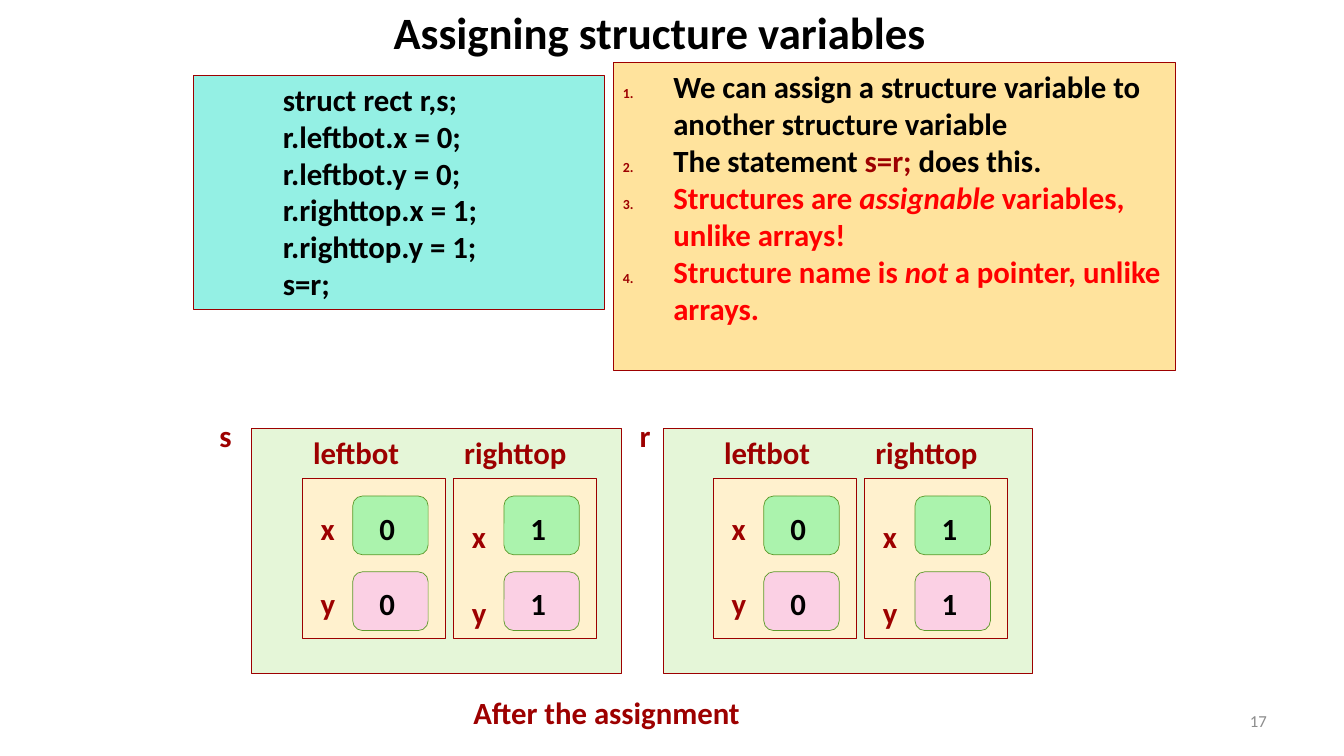
from lxml.etree import SubElement
from pptx import Presentation
from pptx.dml.color import RGBColor
from pptx.enum.shapes import MSO_SHAPE as Preset
from pptx.enum.text import MSO_ANCHOR as Anchor, PP_ALIGN as Align
from pptx.oxml.ns import qn
from pptx.util import Cm, Pt

BLACK = RGBColor(0x00, 0x00, 0x00)
MAROON = RGBColor(0x9D, 0x00, 0x00)
RED = RGBColor(0xFF, 0x00, 0x00)
GREY = RGBColor(0x8C, 0x8C, 0x8C)
TURQUOISE = RGBColor(0x94, 0xF0, 0xE4)
AMBER = RGBColor(0xFF, 0xE3, 0x9D)
CREAM = RGBColor(0xFF, 0xF1, 0xCE)
PALE_GREEN = RGBColor(0xE5, 0xF6, 0xD8)
GREEN = RGBColor(0xAB, 0xF3, 0xAD)
PINK = RGBColor(0xFB, 0xD0, 0xE4)
OLIVE = RGBColor(0x5D, 0x9A, 0x2B)

# Content
TITLE = "Assigning structure variables"
CODE = ["struct rect r,s;", "r.leftbot.x = 0;", "r.leftbot.y = 0;",
        "r.righttop.x = 1;", "r.righttop.y = 1;", "s=r;"]
# Each note is a list of runs: text, colour, italic
NOTES = [
    [("We can assign a structure variable to another structure variable", BLACK, False)],
    [("The statement ", BLACK, False), ("s=r;", MAROON, False), (" does this.", BLACK, False)],
    [("Structures are ", RED, False), ("assignable", RED, True),
     (" variables, unlike arrays!", RED, False)],
    [("Structure name is ", RED, False), ("not", RED, True),
     (" a pointer, unlike arrays.", RED, False)],
]
# Variable name, left edge of its record, distance from the name to the record
RECORDS = [("s", 6.35, 1.07), ("r", 16.71, 0.84)]
# Member name, name width, drop of the field names, field values
MEMBERS = [("leftbot", 2.72, 0.64, {"x": "0", "y": "0"}),
           ("righttop", 3.12, 0.85, {"x": "1", "y": "1"})]
FIELD_FILLS = {"x": GREEN, "y": PINK}
CAPTION = "After the assignment"
PAGE = "17"

# Layout, in centimetres
RECORD_TOP, RECORD_SIZE = 10.8, (9.32, 6.17)
MEMBER_INSET, MEMBER_PITCH, MEMBER_SIZE = 1.27, 3.81, (3.6, 4.02)
CELL_OFFSET, CELL_PITCH, CELL_SIZE = (1.27, 0.43), 1.91, (1.9, 1.48)
LABEL_HEIGHT = 1.19

deck = Presentation()
deck.slide_width, deck.slide_height = Cm(33.87), Cm(19.05)
slide = deck.slides.add_slide(deck.slide_layouts[6])


def style(run, color=BLACK, size=22, bold=True, italic=False):
    font = run.font
    font.name, font.size, font.bold, font.italic = "Calibri", Pt(size), bold, italic
    font.color.rgb = color


def add_box(left, top, size, fill, line=MAROON, weight=0.75, preset=Preset.RECTANGLE):
    box = slide.shapes.add_shape(preset, Cm(left), Cm(top), Cm(size[0]), Cm(size[1]))
    box.shadow.inherit = False
    box.fill.solid()
    box.fill.fore_color.rgb = fill
    box.line.color.rgb = line
    box.line.width = Pt(weight)
    box.text_frame.vertical_anchor = Anchor.TOP
    return box


def add_label(text, left, top, width, color=MAROON, height=LABEL_HEIGHT,
              align=Align.LEFT, wrap=False, **font):
    label = slide.shapes.add_textbox(Cm(left), Cm(top), Cm(width), Cm(height))
    frame = label.text_frame
    frame.word_wrap = wrap
    frame.text = text
    frame.paragraphs[0].alignment = align
    style(frame.paragraphs[0].runs[0], color, **font)
    return label


def indent(paragraph, left, first=0):
    properties = paragraph._p.get_or_add_pPr()
    properties.set("marL", str(Cm(left)))
    properties.set("indent", str(Cm(first)))
    return properties


def number(paragraph):
    properties = indent(paragraph, 1.27, -1.27)
    color = SubElement(properties, qn("a:buClr"))
    SubElement(color, qn("a:srgbClr"), val=str(MAROON))
    SubElement(properties, qn("a:buSzPct"), val="45000")
    SubElement(properties, qn("a:buAutoNum"), type="arabicPeriod")


# Title
add_label(TITLE, 3.61, 0, 26.04, BLACK, 1.6, Align.CENTER, True, size=32)

# Code
code = add_box(4.88, 1.9, (10.36, 5.9), TURQUOISE).text_frame
code.text = "\n".join(CODE)
for statement in code.paragraphs:
    statement.alignment = Align.LEFT
    indent(statement, 2)
    style(statement.runs[0])

# Numbered notes
notes = add_box(15.45, 1.58, (14.17, 7.77), AMBER).text_frame
notes.text = "\n".join("" for _ in NOTES)
for paragraph, note in zip(notes.paragraphs, NOTES):
    paragraph.alignment = Align.LEFT
    number(paragraph)
    for text, color, italic in note:
        run = paragraph.add_run()
        run.text = text
        style(run, color, italic=italic)

# Records with their members and fields
member_top = RECORD_TOP + MEMBER_INSET
for variable, record_left, name_gap in RECORDS:
    add_box(record_left, RECORD_TOP, RECORD_SIZE, PALE_GREEN)
    add_label(variable, record_left - name_gap, RECORD_TOP - 0.43, 0.8)
    for column, (member, name_width, drop, values) in enumerate(MEMBERS):
        member_left = record_left + MEMBER_INSET + column * MEMBER_PITCH
        add_box(member_left, member_top, MEMBER_SIZE, CREAM)
        add_label(member, member_left + 0.02, RECORD_TOP, name_width)
        for row, (field, value) in enumerate(values.items()):
            row_top = member_top + row * CELL_PITCH
            add_box(member_left + CELL_OFFSET[0], row_top + CELL_OFFSET[1], CELL_SIZE,
                    FIELD_FILLS[field], OLIVE, 0.5, Preset.ROUNDED_RECTANGLE)
            add_label(field, member_left + 0.21, row_top + drop, 0.86)
            add_label(value, member_left + 1.69, row_top + 0.64, 0.89, BLACK)

# Caption and page number
add_label(CAPTION, 11.68, 17.35, 7.32)
page = add_label(PAGE, 24.28, 17.65, 7.9, GREY, 1.02, Align.RIGHT, True, size=12, bold=False)
page.text_frame.vertical_anchor = Anchor.MIDDLE

deck.save("out.pptx")
